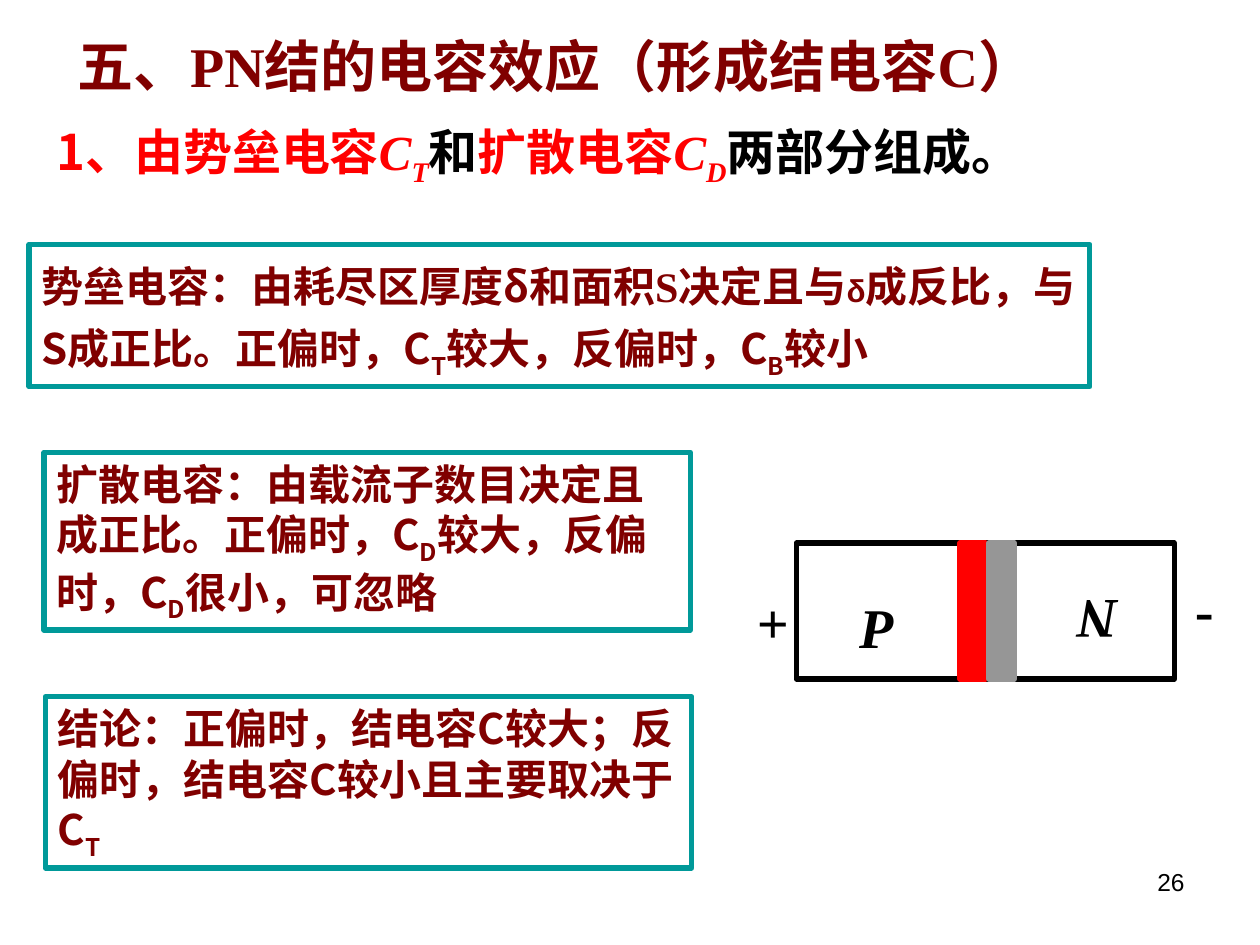
from dataclasses import dataclass

from lxml import etree
from pptx import Presentation
from pptx.dml.color import RGBColor
from pptx.enum.shapes import MSO_SHAPE
from pptx.enum.text import MSO_ANCHOR, PP_ALIGN
from pptx.oxml.ns import qn
from pptx.util import Inches, Pt

RECT = MSO_SHAPE.RECTANGLE
TOP = MSO_ANCHOR.TOP
LEFT, RIGHT = PP_ALIGN.LEFT, PP_ALIGN.RIGHT


@dataclass(frozen=True)
class Theme:
    maroon: str = "800000"
    red: str = "FF0000"
    black: str = "000000"
    teal: str = "009999"
    gray: str = "969696"
    serif: str = "Times New Roman"
    sans: str = "Noto Sans CJK SC"
    arial: str = "Arial"
    title: int = 32
    subtitle: int = 28
    body: int = 24
    small: int = 18
    number: int = 14
    border: int = 3


THEME = Theme()
SUB = {"sub": True}
SERIF = {"font": THEME.serif}


def write(shape, runs, size=THEME.body, color=THEME.maroon, font=THEME.sans,
          bold=True, italic=False, align=LEFT, spacing=None):
    """Write (text, overrides) runs as one paragraph."""
    frame = shape.text_frame
    frame.word_wrap = True
    frame.vertical_anchor = TOP
    paragraph = frame.paragraphs[0]
    paragraph.alignment = align
    if spacing:
        paragraph.line_spacing = spacing
    for text, changes in runs:
        run = paragraph.add_run()
        run.text = text
        style = run.font
        style.size = Pt(changes.get("size", size))
        style.bold = bold
        style.italic = changes.get("italic", italic)
        style.color.rgb = RGBColor.from_string(changes.get("color", color))
        style.name = changes.get("font", font)
        properties = run._r.get_or_add_rPr()
        east_asian = etree.SubElement(properties, qn("a:ea"))
        east_asian.set("typeface", THEME.sans)
        if changes.get("sub"):
            properties.set("baseline", "-25000")


def add_text(shapes, box, runs, rotation=0, **style):
    label = shapes.add_textbox(*map(Inches, box))
    label.rotation = rotation
    write(label, runs, **style)


def add_rect(shapes, box, line, fill=None):
    rect = shapes.add_shape(RECT, *map(Inches, box))
    rect.shadow.inherit = False
    if fill:
        rect.fill.solid()
        rect.fill.fore_color.rgb = RGBColor.from_string(fill)
    else:
        rect.fill.background()
    rect.line.color.rgb = RGBColor.from_string(line)
    rect.line.width = Pt(THEME.border)
    return rect


def add_heading(shapes, left, top):
    """Title and the statement under it."""
    add_text(shapes, (left + 0.17, top, 9.02, 0.64),
             [("五、PN结的电容效应（形成结电容C）", {})],
             size=THEME.title, font=THEME.serif)
    red = {"color": THEME.red}
    symbol = {**red, **SERIF, "italic": True}
    add_text(shapes, (left, top + 0.61, 8.42, 0.74),
             [("1、由势垒电容", red), ("C", symbol), ("T", {**symbol, **SUB}),
              ("和", {}), ("扩散电容", red), ("C", symbol),
              ("D", {**symbol, **SUB}), ("两部分组成。", {})],
             size=THEME.subtitle, color=THEME.black, spacing=1.2)


def add_note(shapes, box, runs, spacing=None):
    """Teal frame with an explanation."""
    write(add_rect(shapes, box, THEME.teal), runs, spacing=spacing)


def add_junction(shapes, left, top, width, height):
    """PN junction with its depletion layers and polarity signs."""
    parts = shapes.add_group_shape().shapes
    half = width / 2
    middle = left + half
    for x in (left, middle):
        add_rect(parts, (x, top, half, height), THEME.black)
    layer = 0.2
    for x, color in ((middle - layer, THEME.red), (middle + 0.03, THEME.gray)):
        add_rect(parts, (x, top, layer, height), color, color)

    # The region letters are italic; all but P are turned upside down
    for text, x, y, label_width, rotation, italic in (
            ("P", 0.4, 0.34, 0.63, 0, True),
            ("+", -0.52, 0.36, 0.56, 180, False),
            ("-", 2.79, 0.34, 0.62, 180, False),
            ("N", 1.7, 0.31, 0.95, 180, True)):
        add_text(parts, (left + x, top + y, label_width, 0.64), [(text, {})],
                 rotation=rotation, size=THEME.title, color=THEME.black,
                 font=THEME.serif, italic=italic)


def main():
    deck = Presentation()
    deck.slide_width, deck.slide_height = Inches(10), Inches(7.5)
    shapes = deck.slides.add_slide(deck.slide_layouts[6]).shapes

    add_heading(shapes, 0.35, 0.2)

    # Barrier capacitance
    add_note(shapes, (0.23, 1.94, 8.42, 1.13),
             [("势垒电容：由耗尽区厚度", SERIF), ("δ", {}),
              ("和面积S决定且与", SERIF),
              ("δ", {"font": THEME.arial, "size": THEME.small}),
              ("成反比，与S成正比。正偏时，C", {}), ("T", SUB),
              ("较大，反偏时，C", {}), ("B", SUB), ("较小", {})],
             spacing=1.2)

    # Diffusion capacitance
    add_note(shapes, (0.35, 3.59, 5.13, 1.41),
             [("扩散电容：由载流子数目", {}), ("决定且", SERIF),
              ("成正比。正偏时，C", {}), ("D", SUB),
              ("较大，反偏时，C", {}), ("D", SUB), ("很小，可忽略", {})])

    add_junction(shapes, 6.32, 4.31, 3, 1.08)

    # Conclusion
    add_note(shapes, (0.36, 5.53, 5.13, 1.36),
             [("结论：正偏时，结电容C较大；反偏时，结电容C较小且主要取决于C", {}),
              ("T", SUB)])

    # Slide number
    add_text(shapes, (7.17, 6.83, 2.33, 0.52), [("26", {})],
             size=THEME.number, color=THEME.black, font=THEME.arial,
             bold=False, align=RIGHT)

    deck.save("out.pptx")


if __name__ == "__main__":
    main()
